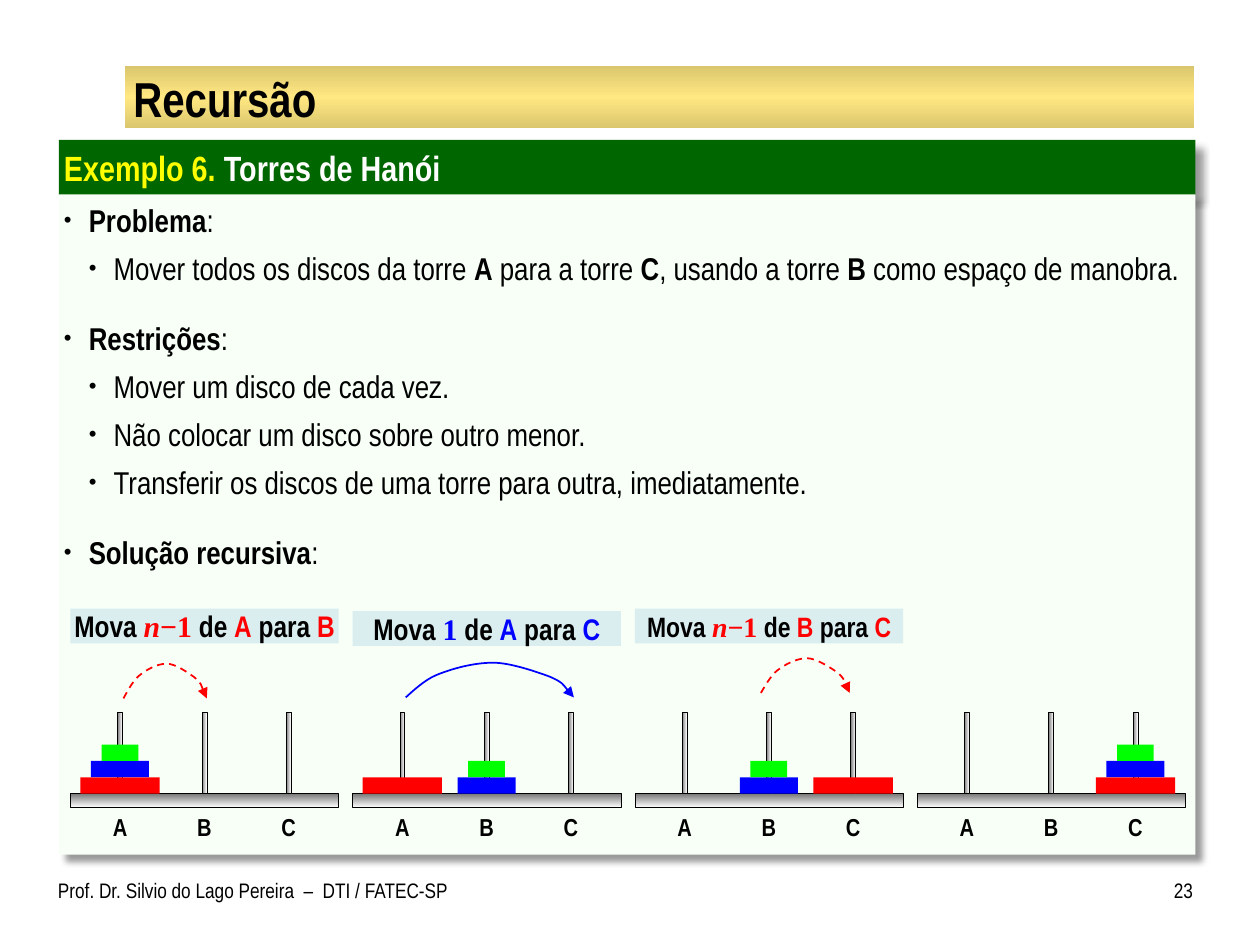
from copy import deepcopy

from lxml import etree
from pptx import Presentation
from pptx.dml.color import RGBColor
from pptx.enum.dml import MSO_LINE
from pptx.enum.shapes import MSO_SHAPE
from pptx.enum.text import MSO_ANCHOR, MSO_AUTO_SIZE, PP_ALIGN
from pptx.oxml.ns import qn
from pptx.util import Cm, Pt

RECTANGLE = MSO_SHAPE.RECTANGLE
DASH = MSO_LINE.DASH
TOP, MIDDLE = MSO_ANCHOR.TOP, MSO_ANCHOR.MIDDLE
LEFT, CENTER, RIGHT = PP_ALIGN.LEFT, PP_ALIGN.CENTER, PP_ALIGN.RIGHT
NO_AUTOFIT = MSO_AUTO_SIZE.NONE

BLACK, WHITE, RED, GREEN, BLUE = "000000", "FFFFFF", "FF0000", "00FF00", "0000FF"
METAL = ["767676", WHITE]
DISCS = {"small": (0.74, GREEN), "medium": (1.17, BLUE), "large": (1.6, RED)}
DISC_HEIGHT = 0.33
BOARD_LEFT, BOARD_TOP, BOARD_WIDTH, BOARD_PITCH = 1.42, 16, 5.41, 5.69
FIRST_PEG, PEG_PITCH, PEG_HEIGHT = 1, 1.7, 1.65
ARC = [(0, 1), (0.03, 0.87), (0.11, 0.5), (0.18, 0.36), (0.27, 0.18), (0.4, 0), (0.52, 0),
       (0.62, 0), (0.77, 0.25), (0.85, 0.39), (0.94, 0.57), (0.97, 0.86), (1, 1)]


def rgb(value):
    return RGBColor.from_string(value)


def add_child(parent, tag, **attributes):
    child = etree.SubElement(parent, qn(tag))
    for name, value in attributes.items():
        child.set(name, str(value))
    return child


class SlideBuilder:
    """Holds the style and the current slide, and draws each kind of element."""

    font = "Arial Narrow"
    math_font = "Times New Roman"

    def __init__(self, slide):
        self.slide = slide

    def place(self, shape, box):
        shape.left, shape.top, shape.width, shape.height = [Cm(value) for value in box]

    def rectangle(self, box, colors, angle=0, outline=None):
        shape = self.slide.shapes.add_shape(RECTANGLE, *[Cm(value) for value in box])
        shape.shadow.inherit = False
        if isinstance(colors, str):
            self.solid(shape, colors)
        else:
            self.gradient(shape, colors, angle)
        if outline:
            shape.line.color.rgb = rgb(outline)
            shape.line.width = Pt(0.25)
        else:
            shape.line.fill.background()
        return shape

    def solid(self, shape, color):
        shape.fill.solid()
        shape.fill.fore_color.rgb = rgb(color)

    def gradient(self, shape, colors, angle):
        shape.fill.gradient()
        shape.fill.gradient_angle = angle
        stop_list = shape._element.spPr.find(".//" + qn("a:gsLst"))
        while len(stop_list) < len(colors):
            stop_list.append(deepcopy(stop_list[0]))
        for index, (stop, color) in enumerate(zip(shape.fill.gradient_stops, colors)):
            stop.position = index / (len(colors) - 1)
            stop.color.rgb = rgb(color)

    def cast_shadow(self, shape):
        shape.shadow.inherit = False
        effects = shape._element.spPr.find(qn("a:effectLst"))
        shadow = add_child(effects, "a:outerShdw", blurRad=Pt(4), dist=Pt(6), dir=45 * 60000,
                           algn="tl", rotWithShape=0)
        color = add_child(shadow, "a:srgbClr", val=BLACK)
        add_child(color, "a:alpha", val=40000)

    def frame(self, shape, margins=(0, 0), anchor=MIDDLE, wrap=True):
        frame = shape.text_frame
        frame.auto_size = NO_AUTOFIT
        frame.word_wrap = wrap
        frame.vertical_anchor = anchor
        frame.margin_left = frame.margin_right = Cm(margins[0])
        frame.margin_top = frame.margin_bottom = Cm(margins[1])
        return frame

    def run(self, paragraph, text, size, color=BLACK, bold=False, italic=False, font=None):
        run = paragraph.add_run()
        run.text = text
        run.font.name = font or self.font
        run.font.size = Pt(size)
        run.font.bold = bold
        run.font.italic = italic
        run.font.color.rgb = rgb(color)

    def text(self, box, text, size, align=LEFT, bold=False, anchor=MIDDLE, wrap=True):
        shape = self.slide.shapes.add_textbox(*[Cm(value) for value in box])
        paragraph = self.frame(shape, anchor=anchor, wrap=wrap).paragraphs[0]
        paragraph.alignment = align
        self.run(paragraph, text, size, bold=bold)

    def placeholder(self, shape, box, margins, anchor):
        self.slide.shapes._spTree.append(shape._element)
        self.place(shape, box)
        return self.frame(shape, margins, anchor)

    def title(self, box, text):
        frame = self.placeholder(self.slide.shapes.title, box, (0.15, 0.03), MIDDLE)
        frame.paragraphs[0].alignment = LEFT
        self.run(frame.paragraphs[0], text, 28, bold=True)

    def bullets(self, box, items):
        body = self.slide.placeholders[1]
        frame = self.placeholder(body, box, (0.1, 0.13), TOP)
        self.solid(body, "F7FFF7")
        self.cast_shadow(body)
        for index, (level, space, runs) in enumerate(items):
            paragraph = frame.add_paragraph() if index else frame.paragraphs[0]
            paragraph.level = level
            paragraph.space_before = Pt(space)
            properties = paragraph._p.get_or_add_pPr()
            properties.set("marL", str(Cm(0.5 * (level + 1))))
            properties.set("indent", str(Cm(-0.5)))
            add_child(properties, "a:buSzPct", val=70000)
            add_child(properties, "a:buFont", typeface="Arial")
            add_child(properties, "a:buChar", char="•")
            for text, bold in runs:
                self.run(paragraph, text, 18, bold=bold)

    def towers(self, left, pegs):
        self.rectangle((left, BOARD_TOP, BOARD_WIDTH, 0.28), METAL, 270, BLACK)
        for index, (name, discs) in enumerate(zip("ABC", pegs)):
            center = left + FIRST_PEG + index * PEG_PITCH
            self.rectangle((center - 0.05, BOARD_TOP - PEG_HEIGHT, 0.1, PEG_HEIGHT), METAL, 0, BLACK)
            self.text((center - 0.22, 16.33, 0.44, 0.66), name, 14, CENTER, True, wrap=False)
            for height, disc in enumerate(discs, 1):
                width, color = DISCS[disc]
                self.rectangle((center - width / 2, BOARD_TOP - height * DISC_HEIGHT,
                                width, DISC_HEIGHT), color)

    def caption(self, left, top, size, amount, source, target, color):
        shape = self.rectangle((left, top, BOARD_WIDTH, 0.7), "DAEDEF")
        paragraph = self.frame(shape, wrap=False).paragraphs[0]
        paragraph.alignment = CENTER
        self.run(paragraph, "Mova ", size, bold=True)
        for part in amount:
            self.run(paragraph, part, size, color, True, part == "n", self.math_font)
        for text, tint in ((" de ", BLACK), (source, color), (" para ", BLACK), (target, color)):
            self.run(paragraph, text, size, tint, True)

    def arc_arrow(self, left, top, width, color, dash=None):
        points = [(Cm(left + x * width), Cm(top + y * 0.7)) for x, y in ARC]
        builder = self.slide.shapes.build_freeform(*points[0])
        builder.add_line_segments(points[1:], close=False)
        shape = builder.convert_to_shape()
        outline = shape._element.spPr.find(".//" + qn("a:path"))
        segments = outline.findall(qn("a:lnTo"))
        for start in range(0, len(segments), 3):
            curve = add_child(outline, "a:cubicBezTo")
            for segment in segments[start:start + 3]:
                curve.append(segment[0])
                outline.remove(segment)
        shape.shadow.inherit = False
        shape.fill.background()
        shape.line.color.rgb = rgb(color)
        shape.line.width = Pt(1)
        if dash:
            shape.line.dash_style = dash
        add_child(shape.line._get_or_add_ln(), "a:tailEnd", type="triangle")


def main():
    presentation = Presentation()
    presentation.slide_width, presentation.slide_height = Cm(25.4), Cm(19.05)
    builder = SlideBuilder(presentation.slides.add_slide(presentation.slide_layouts[1]))

    builder.rectangle((2.52, 1.33, 21.56, 1.26), ["DAC66E", "FFE781", "DAC66E"], 270)
    builder.title((2.54, 1.38, 21.51, 1.2), "Recursão")
    header = builder.rectangle((1.19, 2.82, 22.91, 1.11), "006600")
    builder.cast_shadow(header)
    heading = builder.frame(header, (0.1, 0.13)).paragraphs[0]
    heading.alignment = LEFT
    builder.run(heading, "Exemplo 6.", 20, "FFFF00", True)
    builder.run(heading, " Torres de Hanói", 20, WHITE, True)
    builder.bullets((1.19, 3.92, 22.91, 13.31), [
        (0, 0, [("Problema", True), (":", False)]),
        (1, 6, [("Mover todos os discos da torre ", False), ("A", True), (" para a torre ", False),
                ("C", True), (", usando a torre ", False), ("B", True),
                (" como espaço de manobra.", False)]),
        (0, 18, [("Restrições", True), (":", False)]),
        (1, 6, [("Mover um disco de cada vez.", False)]),
        (1, 6, [("Não colocar um disco sobre outro menor.", False)]),
        (1, 6, [("Transferir os discos de uma torre para outra, imediatamente.", False)]),
        (0, 18, [("Solução recursiva", True), (":", False)]),
    ])

    tower = ["large", "medium", "small"]
    states = [(tower, [], []), (tower[:1], tower[1:], []), ([], tower[1:], tower[:1]), ([], [], tower)]
    lefts = [BOARD_LEFT + index * BOARD_PITCH for index in range(len(states))]
    for left, pegs in zip(lefts, states):
        builder.towers(left, pegs)
    builder.caption(lefts[0], 12.27, 17, ["n", "−1"], "A", "B", RED)
    builder.caption(lefts[1], 12.32, 17, ["1"], "A", "C", BLUE)
    builder.caption(lefts[2], 12.27, 16, ["n", "−1"], "B", "C", RED)
    builder.arc_arrow(2.49, 13.38, 1.68, RED, DASH)
    builder.arc_arrow(8.18, 13.36, 3.39, BLUE)
    builder.arc_arrow(15.34, 13.27, 1.79, RED, DASH)

    builder.text((1.17, 17.7, 8.31, 0.8), "Prof. Dr. Silvio do Lago Pereira  –  DTI / FATEC-SP", 12,
                 anchor=TOP)
    builder.text((23.06, 17.7, 0.99, 0.8), "23", 12, RIGHT, anchor=TOP)
    presentation.save("out.pptx")


if __name__ == "__main__":
    main()
